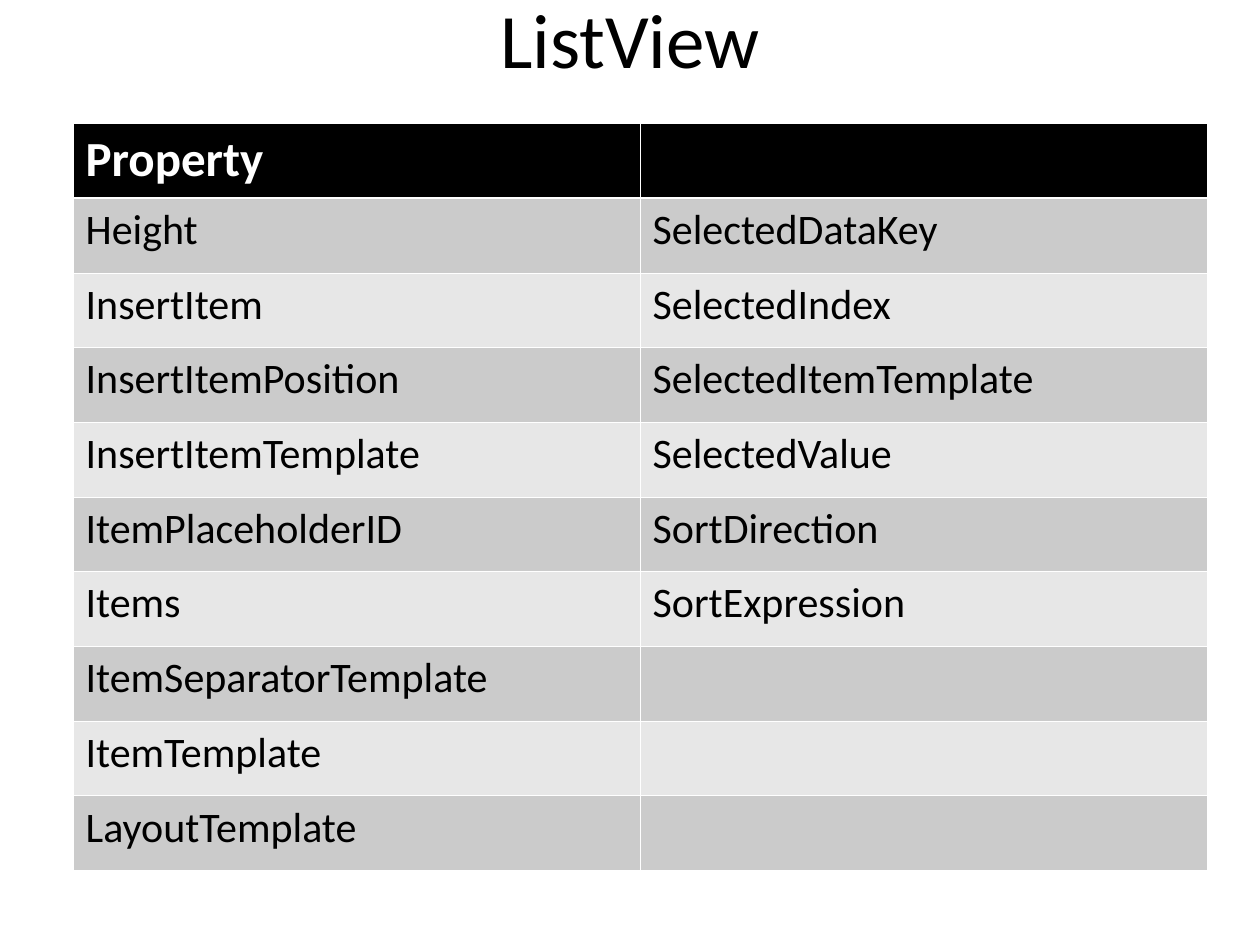
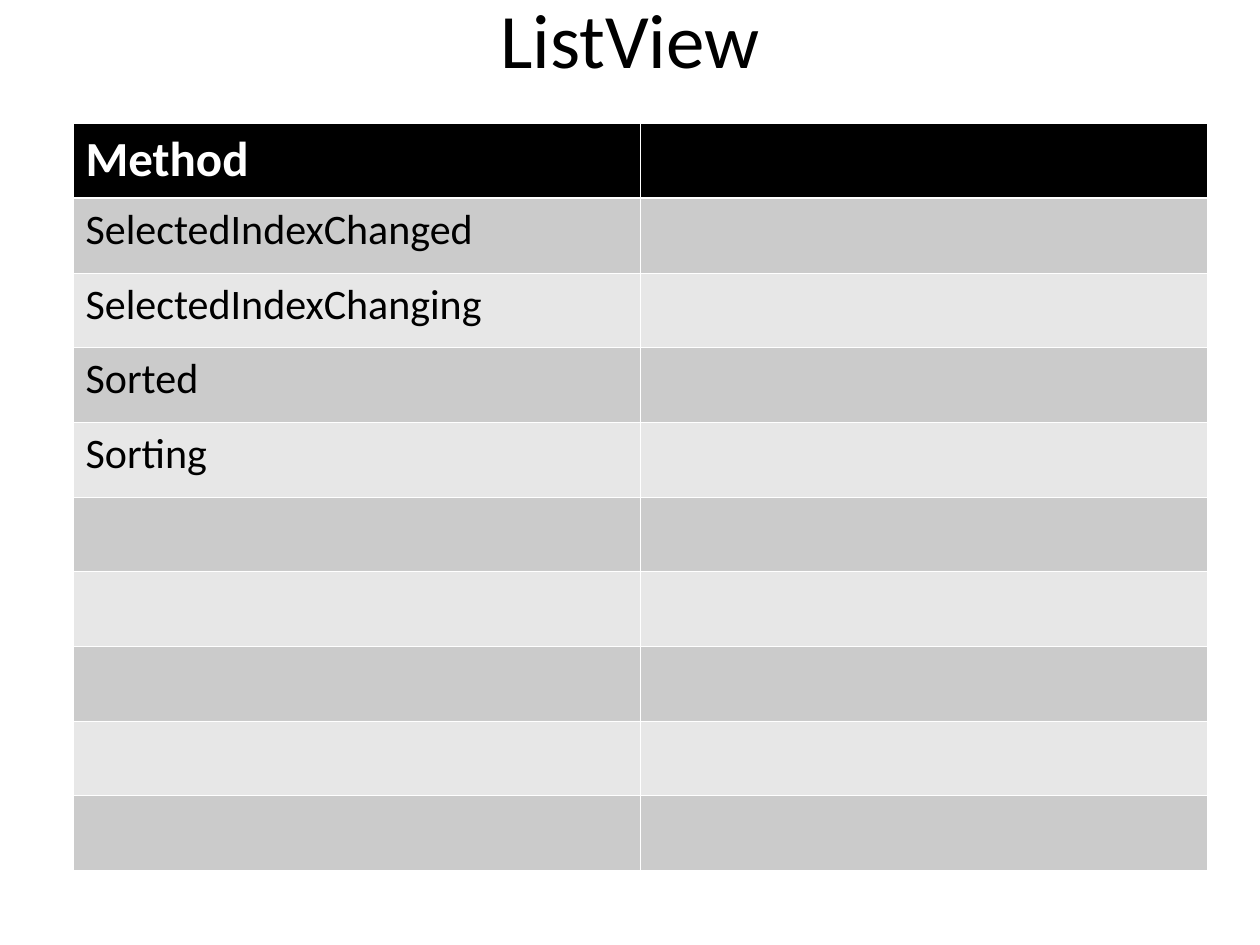
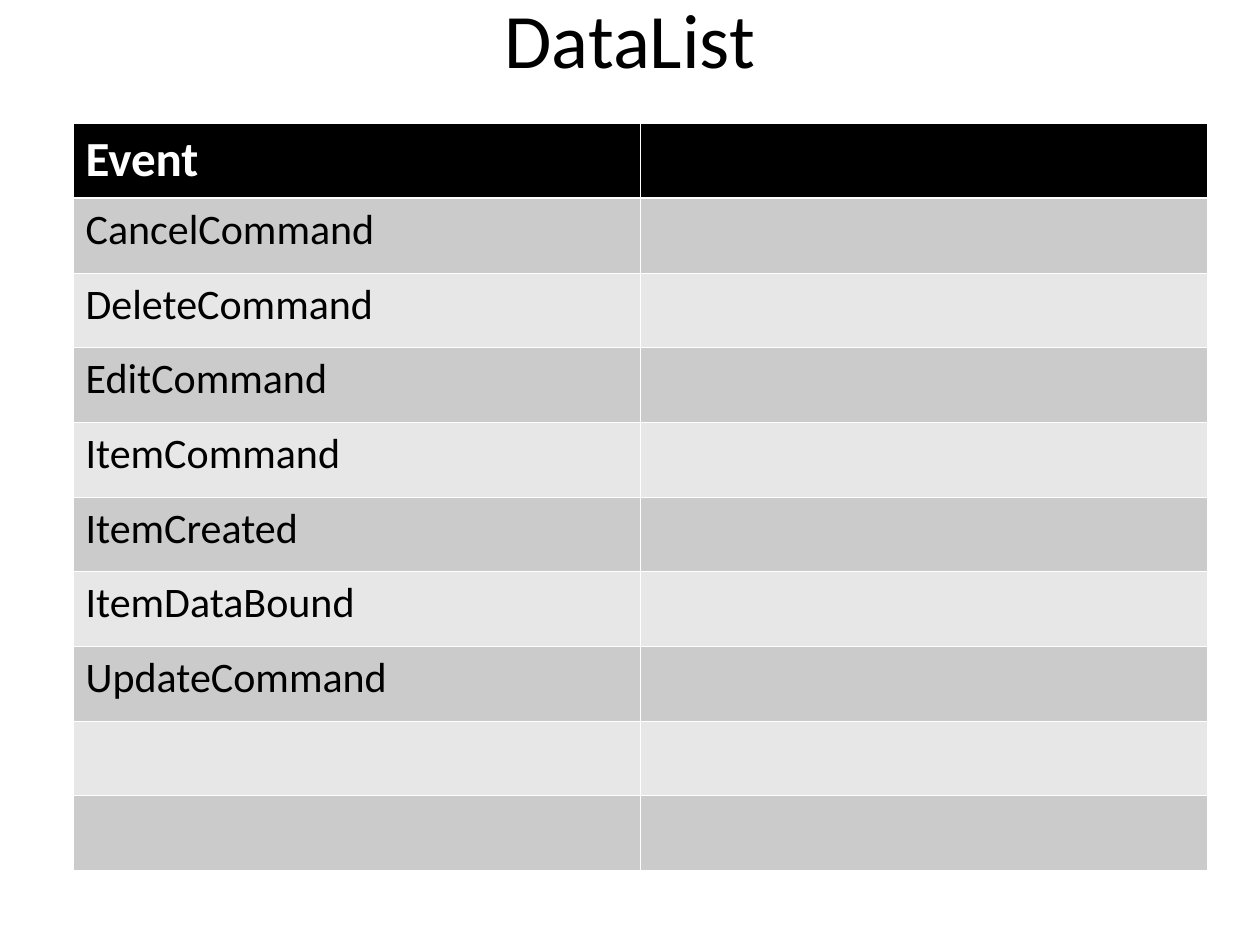
from itertools import zip_longest

from lxml import etree
from pptx import Presentation
from pptx import util as u
from pptx.dml import color
from pptx.enum import text
from pptx.oxml import ns

WIDTH, HEIGHT = u.Inches(10), u.Inches(7.5)
MARGIN = 0.05
TITLE_TOP, TITLE_HEIGHT = -0.33 / 7.5, 1.25 / 7.5
TABLE_LEFT, TABLE_TOP, TABLE_HEIGHT = 0.058, 0.98 / 7.5, 5.93 / 7.5
ROWS, COLUMNS = 10, 2
FONT = "Calibri"
BLACK, WHITE = "000000", "FFFFFF"
BANDS = ["E7E7E7", "CBCBCB"]
THIN, THICK = 0.45, 1.47

SLIDES = [
    ("ListView", "Property", [
        ["Height", "InsertItem", "InsertItemPosition", "InsertItemTemplate", "ItemPlaceholderID",
         "Items", "ItemSeparatorTemplate", "ItemTemplate", "LayoutTemplate"],
        ["SelectedDataKey", "SelectedIndex", "SelectedItemTemplate", "SelectedValue",
         "SortDirection", "SortExpression"],
    ]),
    ("ListView", "Method", [
        ["SelectedIndexChanged", "SelectedIndexChanging", "Sorted", "Sorting"],
    ]),
    ("DataList", "Event", [
        ["CancelCommand", "DeleteCommand", "EditCommand", "ItemCommand", "ItemCreated",
         "ItemDataBound", "UpdateCommand"],
    ]),
]


def rgb(value):
    return color.RGBColor.from_string(value)


def style(paragraph, size, colour, bold=False):
    for run in paragraph.runs:
        run.font.name = FONT
        run.font.size = u.Pt(size)
        run.font.bold = bold
        run.font.color.rgb = rgb(colour)


def add_title(slide, title):
    box = slide.shapes.add_textbox(
        int(WIDTH * MARGIN), int(HEIGHT * TITLE_TOP),
        int(WIDTH * (1 - 2 * MARGIN)), int(HEIGHT * TITLE_HEIGHT))
    frame = box.text_frame
    frame.word_wrap = True
    frame.vertical_anchor = text.MSO_ANCHOR.MIDDLE
    frame.text = title
    paragraph = frame.paragraphs[0]
    paragraph.alignment = text.PP_ALIGN.CENTER
    style(paragraph, 44, BLACK)


def set_borders(cell, top, bottom):
    properties = cell._tc.get_or_add_tcPr()
    for side, width in (("L", THIN), ("R", THIN), ("T", top), ("B", bottom)):
        line = etree.SubElement(properties, ns.qn(f"a:ln{side}"), w=str(u.Pt(width)))
        fill = etree.SubElement(line, ns.qn("a:solidFill"))
        etree.SubElement(fill, ns.qn("a:srgbClr"), val=WHITE)


def fill_cell(cell, row, label):
    header = row == 0
    set_borders(cell, THICK if row == 1 else THIN, THICK if header else THIN)
    cell.fill.solid()
    cell.fill.fore_color.rgb = rgb(BLACK if header else BANDS[row % 2])
    cell.text_frame.text = label
    style(cell.text_frame.paragraphs[0], 28 if header else 24,
          WHITE if header else BLACK, header)


def add_member_table(slide, heading, members):
    table = slide.shapes.add_table(
        ROWS, COLUMNS, int(WIDTH * TABLE_LEFT), int(HEIGHT * TABLE_TOP),
        int(WIDTH * (1 - 2 * MARGIN)), int(HEIGHT * TABLE_HEIGHT)).table
    rows = [[heading], *zip_longest(*members, fillvalue="")]
    labels = {(r, c): label for r, row in enumerate(rows) for c, label in enumerate(row)}
    for row in range(ROWS):
        for column in range(COLUMNS):
            fill_cell(table.cell(row, column), row, labels.get((row, column), ""))


def main():
    presentation = Presentation()
    presentation.slide_width, presentation.slide_height = WIDTH, HEIGHT
    for title, heading, members in SLIDES:
        slide = presentation.slides.add_slide(presentation.slide_layouts[6])
        add_title(slide, title)
        add_member_table(slide, heading, members)
    presentation.save("out.pptx")


if __name__ == "__main__":
    main()
